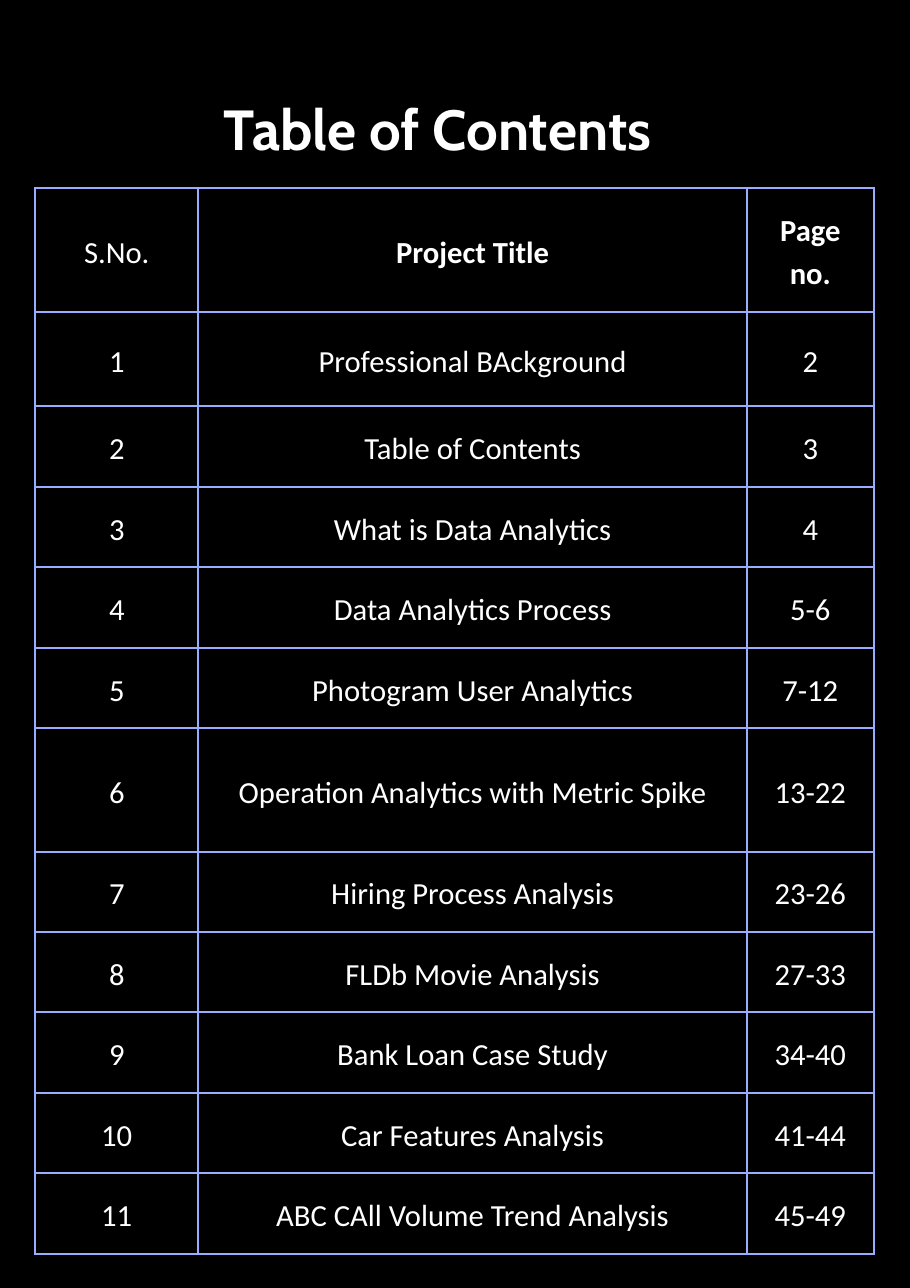
from lxml import etree
from pptx import Presentation
from pptx import util as u
from pptx.dml.color import RGBColor
from pptx.enum import text
from pptx.oxml.ns import qn

WIDTH, HEIGHT = 8.26, 11.69
BLACK, WHITE, PERIWINKLE = "000000", "FFFFFF", "99ACFF"
COLUMNS = [1.48, 4.98, 1.15]
ROW, FIRST_ROW, TALL_ROW = 0.73, 0.86, 1.12
ROWS = [TALL_ROW, FIRST_ROW] + [ROW] * 4 + [TALL_ROW] + [ROW] * 5

HEADER = ("S.No.", "Project Title", "Page no.")
PROJECTS = [
    ("Professional BAckground", "2"),
    ("Table of Contents", "3"),
    ("What is Data Analytics", "4"),
    ("Data Analytics Process", "5-6"),
    ("Photogram User Analytics", "7-12"),
    ("Operation Analytics with Metric Spike", "13-22"),
    ("Hiring Process Analysis", "23-26"),
    ("FLDb Movie Analysis", "27-33"),
    ("Bank Loan Case Study", "34-40"),
    ("Car Features Analysis", "41-44"),
    ("ABC CAll Volume Trend Analysis", "45-49"),
]


def color(value):
    return RGBColor.from_string(value)


def write(tf, words, size, font, spacing, bold=False, fill=WHITE):
    p = tf.paragraphs[0]
    p.alignment = text.PP_ALIGN.CENTER
    p.line_spacing = u.Pt(spacing)
    r = p.add_run()
    r.text = words
    r.font.size = u.Pt(size)
    r.font.name = font
    r.font.bold = bold
    r.font.color.rgb = color(fill)


def set_borders(cell, line_color, width):
    """Put the four border lines ahead of the cell's fill."""
    tcPr = cell._tc.get_or_add_tcPr()
    for i, side in enumerate(("lnL", "lnR", "lnT", "lnB")):
        ln = etree.Element(qn(f"a:{side}"), w=str(u.Pt(width)))
        fill = etree.SubElement(ln, qn("a:solidFill"))
        etree.SubElement(fill, qn("a:srgbClr"), val=line_color)
        tcPr.insert(i, ln)


def add_title(s, words, left, top, width, height):
    box = s.shapes.add_textbox(*map(u.Inches, (left, top, width, height)))
    tf = box.text_frame
    tf.word_wrap = True
    tf.auto_size = text.MSO_AUTO_SIZE.SHAPE_TO_FIT_TEXT
    tf.margin_left = tf.margin_right = tf.margin_top = tf.margin_bottom = 0
    write(tf, words, 36.9, "Cabin", 51.7, bold=True)


def add_contents(s, rows, left, top):
    frame = s.shapes.add_table(
        len(ROWS), len(COLUMNS), u.Inches(left), u.Inches(top),
        u.Inches(sum(COLUMNS)), u.Inches(sum(ROWS)))
    table = frame.table
    table.first_row = table.horz_banding = False
    for column, width in zip(table.columns, COLUMNS):
        column.width = u.Inches(width)
    for row, height, words in zip(table.rows, ROWS, rows):
        row.height = u.Inches(height)
        for cell, word in zip(row.cells, words):
            cell.fill.background()
            cell.vertical_anchor = text.MSO_ANCHOR.MIDDLE
            cell.margin_left = cell.margin_right = u.Inches(0.12)
            cell.margin_top = cell.margin_bottom = u.Inches(0.12)
            set_borders(cell, PERIWINKLE, 1.5)
            write(cell.text_frame, word, 20, "Calibri", 28,
                  bold=word in HEADER[1:])


def main():
    prs = Presentation()
    prs.slide_width, prs.slide_height = u.Inches(WIDTH), u.Inches(HEIGHT)
    s = prs.slides.add_slide(prs.slide_layouts[6])
    s.background.fill.solid()
    s.background.fill.fore_color.rgb = color(BLACK)

    # Numbered list of projects, under its header row
    numbered = [(str(n), *project) for n, project in enumerate(PROJECTS, 1)]
    add_contents(s, [HEADER] + numbered, 0.32, 1.71)

    # Heading
    add_title(s, "Table of Contents", 0.83, 0.75, 6.29, 0.69)

    prs.save("out.pptx")


if __name__ == "__main__":
    main()
